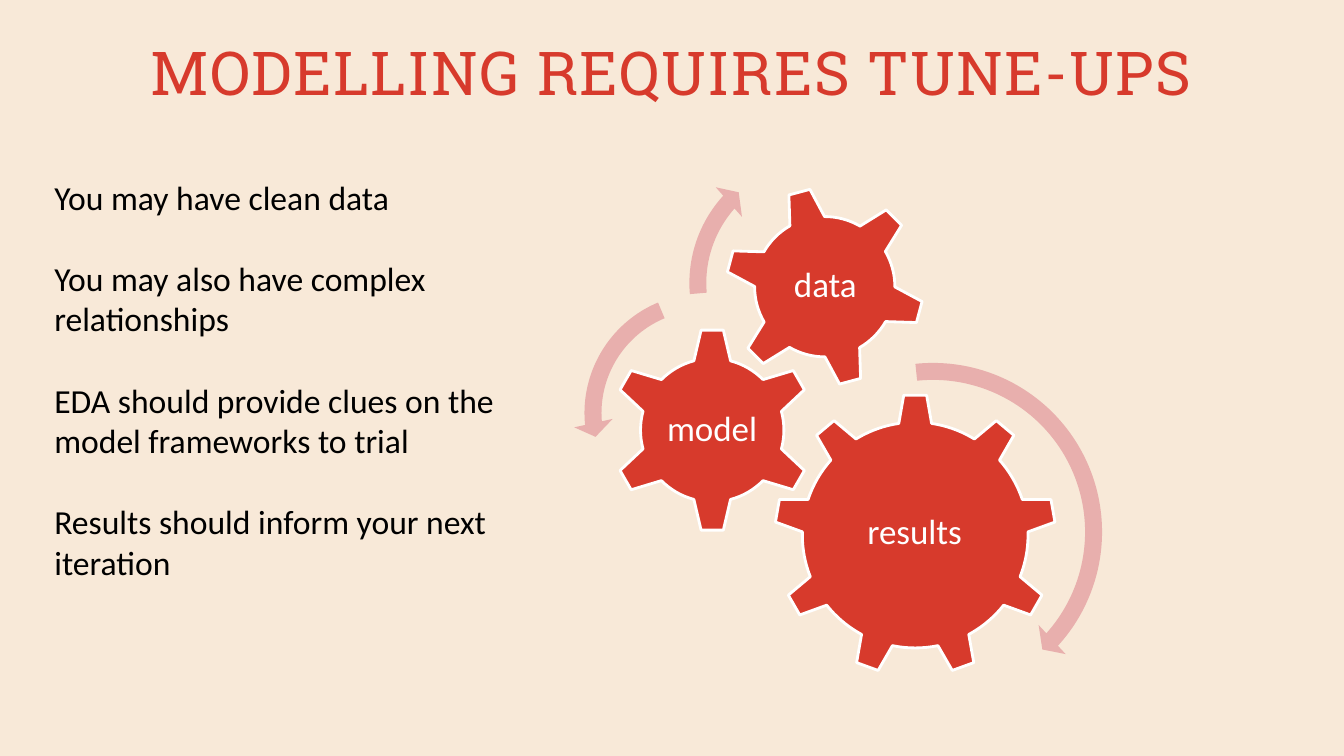
"""Build a slide on why modelling needs tuning, with three meshing gears."""
from pptx import Presentation
from pptx.dml.color import RGBColor
from pptx.enum.shapes import MSO_SHAPE
from pptx.enum.text import MSO_ANCHOR, MSO_AUTO_SIZE, PP_ALIGN
from pptx.util import Cm, Pt

GEAR_SIX, GEAR_NINE = MSO_SHAPE.GEAR_6, MSO_SHAPE.GEAR_9
ARROW_RIGHT, ARROW_LEFT = MSO_SHAPE.CIRCULAR_ARROW, MSO_SHAPE.LEFT_CIRCULAR_ARROW
CENTER, MIDDLE, TOP = PP_ALIGN.CENTER, MSO_ANCHOR.MIDDLE, MSO_ANCHOR.TOP
NO_FIT, GROW = MSO_AUTO_SIZE.NONE, MSO_AUTO_SIZE.SHAPE_TO_FIT_TEXT

COLORS = {"paper": "F8E9D8", "red": "D73A2C", "pink": "E8AFAD",
          "white": "FFFFFF", "black": "000000"}

TITLE = "MODELLING REQUIRES TUNE-UPS"
POINTS = [
    "You may have clean data",
    "You may also have complex relationships",
    "EDA should provide clues on the model frameworks to trial",
    "Results should inform your next iteration",
]
GEARS = [
    {"label": "results", "kind": GEAR_NINE, "left": 19.51, "top": 9.93,
     "size": 7.11, "turn": 0, "label_at": (20.93, 11.61, 4.24, 3.66)},
    {"label": "model", "kind": GEAR_SIX, "left": 15.37, "top": 8.26,
     "size": 5.16, "turn": 0, "label_at": (16.66, 9.58, 2.57, 2.54)},
    {"label": "data", "kind": GEAR_SIX, "left": 18.26, "top": 4.7,
     "size": 5.05, "turn": 345, "label_at": (19.38, 5.79, 2.84, 2.84)},
]
ARROWS = [
    (ARROW_RIGHT, 18.97, 8.86, 9.09, (0.047, 2.99, 25.26, 158.402, 0.055)),
    (ARROW_LEFT, 14.45, 7.11, 6.6, (0.065, 4.3, 104.891, 148.378, 0.075)),
    (ARROW_RIGHT, 17.09, 3.58, 7.11, (0.06, 3.941, 133.138, 105.082, 0.07)),
]
TITLE_FORMAT = {"name": "Roboto Slab", "size": Pt(43.2), "bold": False}
LABEL_FORMAT = {"name": "Calibri", "size": Pt(25)}
POINT_FORMAT = {"name": "Calibri", "size": Pt(24)}


def color(name):
    return RGBColor.from_string(COLORS[name])


def set_all(target, values):
    for name, value in values.items():
        setattr(target, name, value)


def place(shape, left, top, width, height):
    set_all(shape, {"left": Cm(left), "top": Cm(top),
                    "width": Cm(width), "height": Cm(height)})


def set_frame(frame, anchor, fit, side, edge):
    set_all(frame, {"word_wrap": True, "vertical_anchor": anchor, "auto_size": fit,
                    "margin_left": Cm(side), "margin_right": Cm(side),
                    "margin_top": Cm(edge), "margin_bottom": Cm(edge)})


def write(para, text, text_format, color_name, **para_format):
    set_all(para, para_format)
    span = para.add_run()
    span.text = text
    set_all(span.font, text_format)
    span.font.color.rgb = color(color_name)
    return span


def add_text_box(page, at):
    return page.shapes.add_textbox(*(Cm(length) for length in at)).text_frame


def add_round_shape(page, kind, left, top, size, fill_name):
    shape = page.shapes.add_shape(kind, Cm(left), Cm(top), Cm(size), Cm(size))
    shape.shadow.inherit = False
    shape.fill.solid()
    shape.fill.fore_color.rgb = color(fill_name)
    return shape


def add_title(page):
    title = page.shapes.title
    place(title, 1.69, 0.64, 30.48, 2.62)
    set_frame(title.text_frame, MIDDLE, NO_FIT, 0.33, 0.18)
    span = write(title.text_frame.paragraphs[0], TITLE, TITLE_FORMAT, "red",
                 alignment=CENTER, line_spacing=0.85)
    span.font._element.set("spc", "100")


def add_gear(page, gear):
    shape = add_round_shape(page, gear["kind"], gear["left"], gear["top"],
                            gear["size"], "red")
    shape.rotation = gear["turn"]
    shape.line.color.rgb = color("white")
    shape.line.width = Pt(2)
    frame = add_text_box(page, gear["label_at"])
    set_frame(frame, MIDDLE, NO_FIT, 0.08, 0.08)
    write(frame.paragraphs[0], gear["label"], LABEL_FORMAT, "white",
          alignment=CENTER, line_spacing=0.9)


def add_arrow(page, kind, left, top, size, bends):
    shape = add_round_shape(page, kind, left, top, size, "pink")
    shape.line.fill.background()
    for index, bend in enumerate(bends):
        shape.adjustments[index] = bend


def add_points(page):
    frame = add_text_box(page, (1.12, 4.32, 11.99, 10.52))
    set_frame(frame, TOP, GROW, 0.25, 0.13)
    for index, point in enumerate(POINTS):
        para = frame.add_paragraph() if index else frame.paragraphs[0]
        write(para, point, POINT_FORMAT, "black",
              space_before=Pt(29.3 if index else 0))


def main():
    deck = Presentation()
    deck.slide_width, deck.slide_height = Cm(33.87), Cm(19.05)
    page = deck.slides.add_slide(deck.slide_layouts.get_by_name("Title Only"))
    page.background.fill.solid()
    page.background.fill.fore_color.rgb = color("paper")
    add_title(page)
    for gear in GEARS:
        add_gear(page, gear)
    for arrow in ARROWS:
        add_arrow(page, *arrow)
    add_points(page)
    deck.save("out.pptx")


if __name__ == "__main__":
    main()
